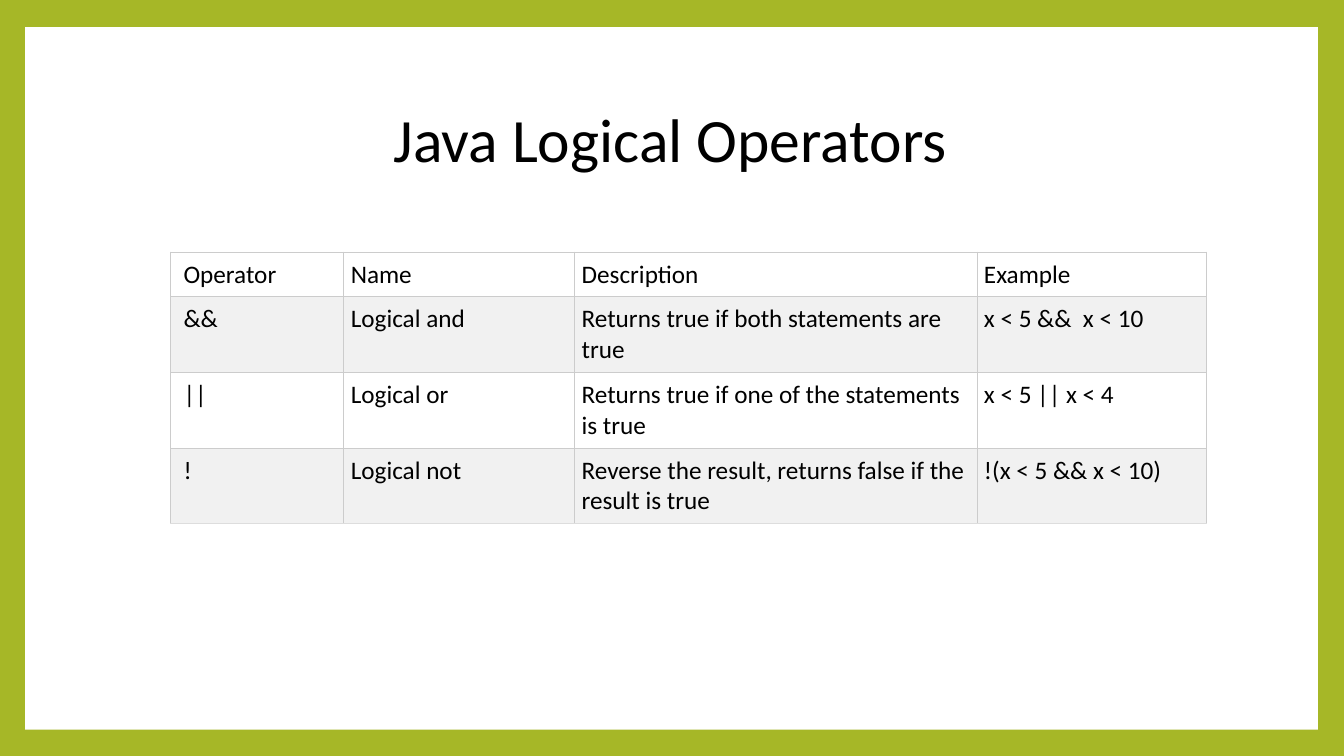
from lxml import etree
from pptx import Presentation
from pptx.dml.color import RGBColor
from pptx.enum import shapes, text
from pptx.oxml import ns
from pptx.util import Inches, Pt

HEADING = "Java Logical Operators"
OPERATORS = [
    ("Operator", "Name", "Description", "Example"),
    ("&&", "Logical and", "Returns true if both statements are true", "x < 5 &&  x < 10"),
    ("||", "Logical or", "Returns true if one of the statements is true", "x < 5 || x < 4"),
    ("!", "Logical not", "Reverse the result, returns false if the result is true",
     "!(x < 5 && x < 10)"),
]
COLUMN_WIDTHS = [1.72, 2.29, 3.99, 2.28]
ROW_HEIGHTS = [0.44, 0.74, 0.74, 0.74]
COLORS = {"frame": "A6B727", "panel": "FFFFFF", "band": "F1F1F1", "text": "000000",
          "grid": "CCCCCC", "bottom": "DDDDDD"}
FONT = "Calibri"


def rgb(name):
    return RGBColor.from_string(COLORS[name])


def style_text(frame, size):
    for paragraph in frame.paragraphs:
        for run in paragraph.runs:
            run.font.name = FONT
            run.font.size = Pt(size)
            run.font.bold = False
            run.font.color.rgb = rgb("text")


def add_borders(cell, bottom):
    """Draw the four cell borders; call before the cell is filled."""
    properties = cell._tc.get_or_add_tcPr()
    sides = {"lnL": "grid", "lnR": "grid", "lnT": "grid", "lnB": bottom}
    for side, color in sides.items():
        line = etree.SubElement(properties, ns.qn(f"a:{side}"), w=str(Pt(0.6)))
        fill = etree.SubElement(line, ns.qn("a:solidFill"))
        etree.SubElement(fill, ns.qn("a:srgbClr"), val=COLORS[color])


def add_panel(slide):
    panel = slide.shapes.add_shape(shapes.MSO_SHAPE.RECTANGLE, Inches(0.25), Inches(0.27),
                                   Inches(12.82), Inches(6.97))
    panel.shadow.inherit = False
    panel.fill.solid()
    panel.fill.fore_color.rgb = rgb("panel")
    panel.line.fill.background()
    slide.shapes._spTree.insert(2, panel._element)  # behind the title


def add_heading(slide):
    heading = slide.shapes.title
    heading.left, heading.top = Inches(1.25), Inches(0.67)
    heading.width, heading.height = Inches(10.8), Inches(1.48)
    frame = heading.text_frame
    frame.text = HEADING
    frame.vertical_anchor = text.MSO_ANCHOR.MIDDLE
    frame.paragraphs[0].alignment = text.PP_ALIGN.CENTER
    frame.paragraphs[0].line_spacing = 0.9
    style_text(frame, 44)


def add_operator_table(slide):
    table = slide.shapes.add_table(
        len(OPERATORS), len(COLUMN_WIDTHS), Inches(1.69), Inches(2.5),
        Inches(sum(COLUMN_WIDTHS)), Inches(sum(ROW_HEIGHTS))).table
    for column, width in zip(table.columns, COLUMN_WIDTHS):
        column.width = Inches(width)
    for row, height in zip(table.rows, ROW_HEIGHTS):
        row.height = Inches(height)
    for r, entries in enumerate(OPERATORS):
        for c, entry in enumerate(entries):
            cell = table.cell(r, c)
            cell.text_frame.text = entry
            style_text(cell.text_frame, 18)
            cell.margin_left = Inches(0.07 if c else 0.13)
            cell.margin_top = cell.margin_right = cell.margin_bottom = Inches(0.07)
            add_borders(cell, "bottom" if r == len(OPERATORS) - 1 else "grid")
            cell.fill.solid()
            cell.fill.fore_color.rgb = rgb("band" if r % 2 else "panel")


def main():
    deck = Presentation()
    deck.slide_width, deck.slide_height = Inches(13.33), Inches(7.5)
    slide = deck.slides.add_slide(deck.slide_layouts[5])
    slide.background.fill.solid()
    slide.background.fill.fore_color.rgb = rgb("frame")
    add_panel(slide)
    add_heading(slide)
    add_operator_table(slide)
    deck.save("out.pptx")


if __name__ == "__main__":
    main()
